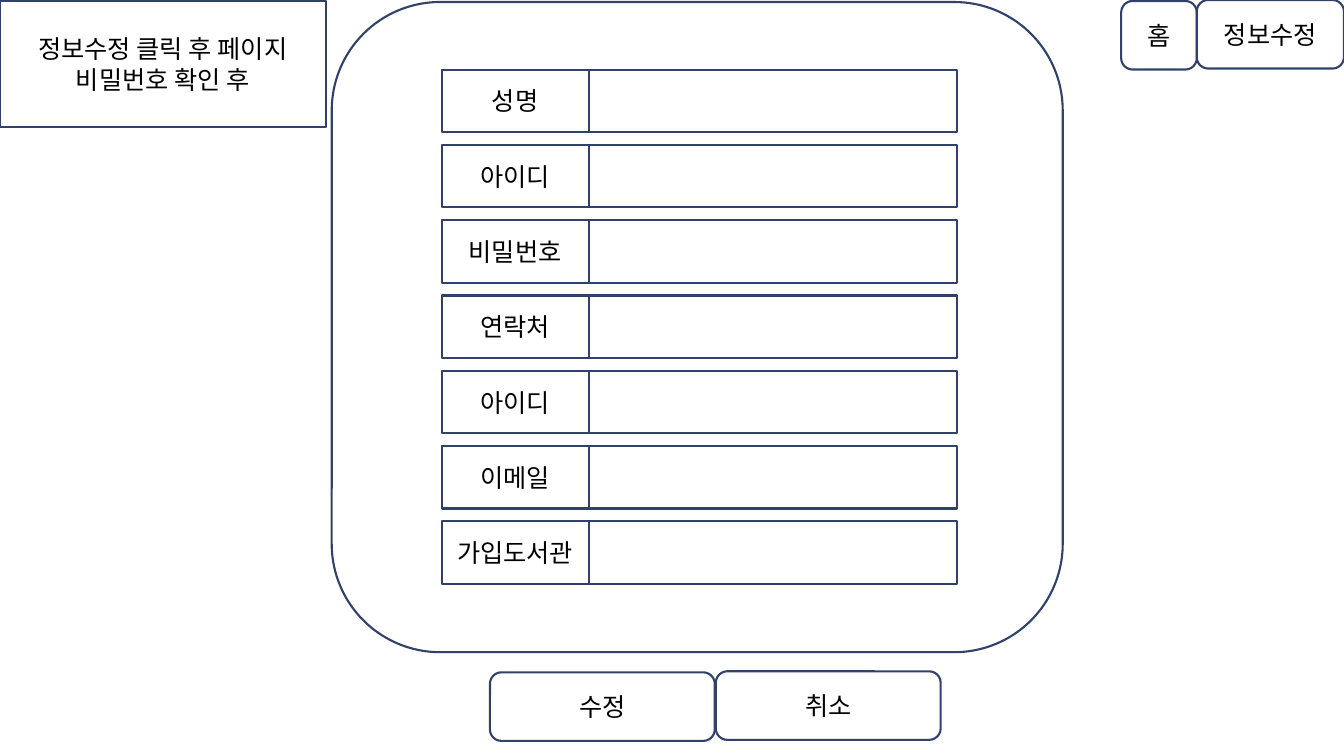
from pptx import Presentation
from pptx.dml.color import RGBColor
from pptx.enum.shapes import MSO_SHAPE as Shape
from pptx.enum.text import MSO_ANCHOR as Anchor, PP_ALIGN as Align
from pptx.util import Inches, Pt

FIELDS = ["성명", "아이디", "비밀번호", "연락처", "아이디", "이메일", "가입도서관"]
NOTE = ["정보수정 클릭 후 페이지", "비밀번호 확인 후"]
BUTTONS = [
    ("정보수정", 11.87, 0, 1.46),
    ("홈", 11.12, 0.01, 0.75),
    ("수정", 4.86, 6.67, 2.23),
    ("취소", 7.1, 6.66, 2.23),
]

NAVY = RGBColor(0x30, 0x41, 0x6A)
BLACK = RGBColor(0, 0, 0)
FONT = "Calibri"

FORM_LEFT, FORM_TOP = 4.38, 0.69
LABEL_WIDTH, ENTRY_WIDTH = 1.46, 3.65
ROW_HEIGHT, ROW_PITCH = 0.62, 0.747
BUTTON_HEIGHT = 0.68


def add_box(page, kind, left, top, width, height, lines=()):
    box = page.shapes.add_shape(
        kind, Inches(left), Inches(top), Inches(width), Inches(height))
    box.shadow.inherit = False
    box.fill.background()
    box.line.color.rgb = NAVY
    box.line.width = Pt(1.5)
    frame = box.text_frame
    frame.word_wrap = True
    frame.vertical_anchor = Anchor.MIDDLE
    for index, line in enumerate(lines):
        para = frame.add_paragraph() if index else frame.paragraphs[0]
        para.alignment = Align.CENTER
        span = para.add_run()
        span.text = line
        span.font.name = FONT
        span.font.size = Pt(18)
        span.font.color.rgb = BLACK


def main():
    deck = Presentation()
    deck.slide_width, deck.slide_height = Inches(13.33), Inches(7.5)
    page = deck.slides.add_slide(deck.slide_layouts[6])

    for row, label in enumerate(FIELDS):
        top = FORM_TOP + row * ROW_PITCH
        add_box(page, Shape.RECTANGLE, FORM_LEFT, top,
                LABEL_WIDTH, ROW_HEIGHT, [label])
        add_box(page, Shape.RECTANGLE, FORM_LEFT + LABEL_WIDTH, top,
                ENTRY_WIDTH, ROW_HEIGHT)

    add_box(page, Shape.RECTANGLE, 0, 0.01, 3.23, 1.25, NOTE)
    add_box(page, Shape.ROUNDED_RECTANGLE, 3.29, 0.02, 7.25, 6.45)
    for label, left, top, width in BUTTONS:
        add_box(page, Shape.ROUNDED_RECTANGLE, left, top,
                width, BUTTON_HEIGHT, [label])

    deck.save("out.pptx")


if __name__ == "__main__":
    main()
